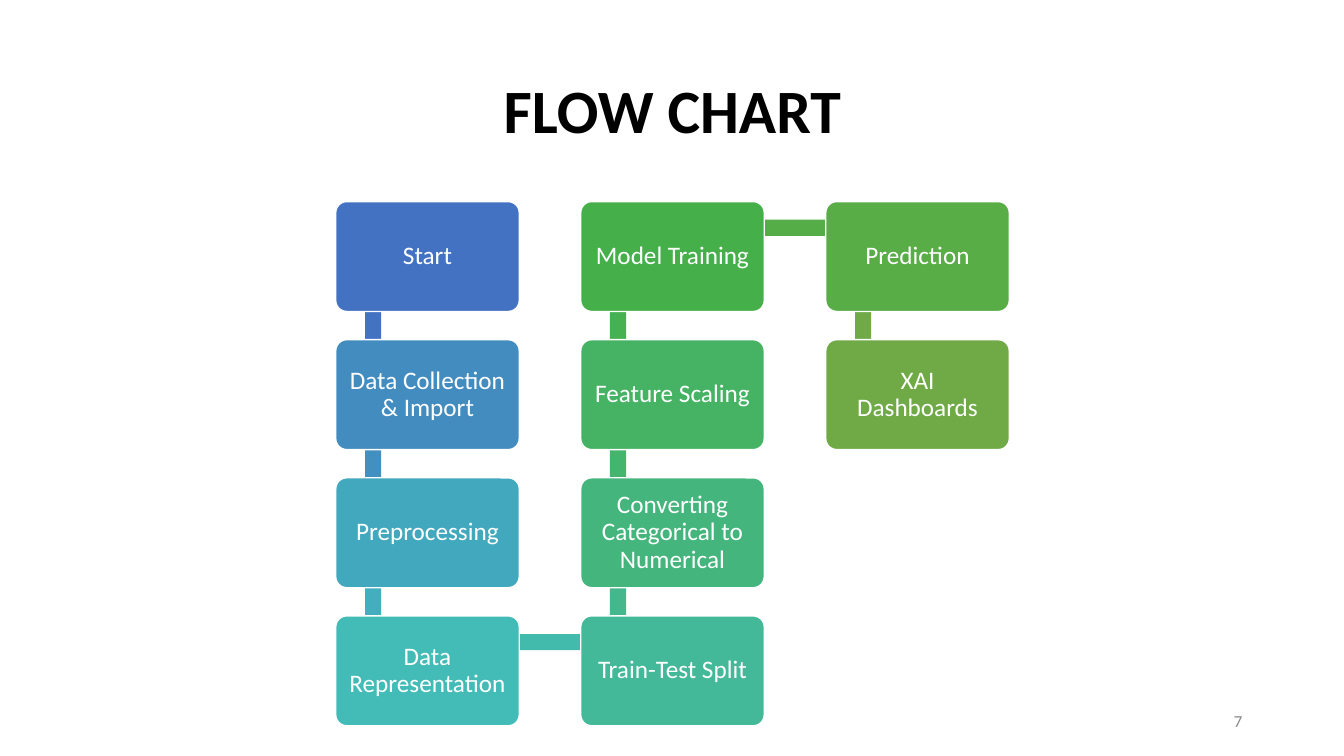
from dataclasses import dataclass
from math import atan2, degrees, hypot

from pptx import Presentation
from pptx.dml.color import RGBColor
from pptx.enum.shapes import MSO_SHAPE as Preset
from pptx.enum.text import MSO_ANCHOR as Anchor, PP_ALIGN as Align
from pptx.shapes.autoshape import Shape
from pptx.slide import Slide
from pptx.util import Inches, Pt


@dataclass(frozen=True)
class Theme:
    font: str = "Calibri"
    title_color: str = "000000"
    step_text: str = "FFFFFF"
    outline: str = "FFFFFF"
    number_color: str = "888888"
    title_size: int = 44
    step_size: int = 18
    number_size: int = 12


@dataclass(frozen=True)
class Step:
    label: str
    column: int
    row: int
    fill: str
    link_fill: str = ""

    @property
    def left(self) -> float:
        return GRID_LEFT + self.column * COLUMN_PITCH

    @property
    def top(self) -> float:
        return GRID_TOP + self.row * ROW_PITCH


THEME = Theme()
GRID_LEFT, GRID_TOP = 3.33, 2.0
COLUMN_PITCH, ROW_PITCH = 2.43, 1.37
STEP_WIDTH, STEP_HEIGHT = 1.82, 1.09
LINK_X, LINK_Y = 0.37, 0.26
LINK_THICKNESS = 0.16

STEPS = [
    Step("Start", 0, 0, "4372C3", "4372C3"),
    Step("Data Collection & Import", 0, 1, "438CC0", "438FC0"),
    Step("Preprocessing", 0, 2, "42A8BE", "43AEBD"),
    Step("Data Representation", 0, 3, "43BCB8", "42BBAC"),
    Step("Train-Test Split", 1, 3, "43B99A", "44B78C"),
    Step("Converting Categorical to Numerical", 1, 2, "44B67D", "44B56D"),
    Step("Feature Scaling", 1, 1, "45B363", "45B150"),
    Step("Model Training", 1, 0, "45B04A", "54AD46"),
    Step("Prediction", 2, 0, "58AD46", "6FAA47"),
    Step("XAI Dashboards", 2, 1, "6FAA47"),
]


def write(shape: Shape, text: str, *, size: int, color: str, bold: bool = False,
          align: Align = Align.CENTER, spacing: float = 1.0,
          inset_y: float = 0.05) -> None:
    frame = shape.text_frame
    frame.word_wrap = True
    frame.vertical_anchor = Anchor.MIDDLE
    frame.margin_left = frame.margin_right = Inches(0.1)
    frame.margin_top = frame.margin_bottom = Inches(inset_y)
    paragraph = frame.paragraphs[0]
    paragraph.alignment = align
    paragraph.line_spacing = spacing
    run = paragraph.add_run()
    run.text = text
    run.font.name = THEME.font
    run.font.size = Pt(size)
    run.font.bold = bold
    run.font.color.rgb = RGBColor.from_string(color)


def add_block(slide: Slide, preset: Preset, left: float, top: float,
              width: float, height: float, fill: str) -> Shape:
    block = slide.shapes.add_shape(
        preset, Inches(left), Inches(top), Inches(width), Inches(height))
    block.shadow.inherit = False
    block.fill.solid()
    block.fill.fore_color.rgb = RGBColor.from_string(fill)
    block.line.fill.background()
    return block


def draw_link(slide: Slide, start: Step, end: Step) -> None:
    across, down = end.left - start.left, end.top - start.top
    length = hypot(across, down)
    center_x = start.left + LINK_X + across / 2
    center_y = start.top + LINK_Y + down / 2
    link = add_block(slide, Preset.RECTANGLE, center_x - length / 2,
                     center_y - LINK_THICKNESS / 2, length, LINK_THICKNESS,
                     start.link_fill)
    link.rotation = degrees(atan2(down, across)) % 360


def draw_step(slide: Slide, step: Step) -> None:
    box = add_block(slide, Preset.ROUNDED_RECTANGLE, step.left, step.top,
                    STEP_WIDTH, STEP_HEIGHT, step.fill)
    box.adjustments[0] = 0.1
    box.line.color.rgb = RGBColor.from_string(THEME.outline)
    box.line.width = Pt(1)
    write(box, step.label, size=THEME.step_size, color=THEME.step_text,
          spacing=0.9, inset_y=0.1)


def main() -> None:
    deck = Presentation()
    deck.slide_width, deck.slide_height = Inches(13.33), Inches(7.5)
    slide = deck.slides.add_slide(deck.slide_layouts[6])

    title = slide.shapes.add_textbox(
        Inches(0.92), Inches(0.4), Inches(11.5), Inches(1.45))
    write(title, "FLOW CHART", size=THEME.title_size, color=THEME.title_color,
          bold=True, spacing=0.9)
    page_number = slide.shapes.add_textbox(
        Inches(9.42), Inches(6.95), Inches(3), Inches(0.4))
    write(page_number, "7", size=THEME.number_size, color=THEME.number_color,
          align=Align.RIGHT)

    for start, end in zip(STEPS, STEPS[1:]):
        draw_link(slide, start, end)
    for step in STEPS:
        draw_step(slide, step)

    deck.save("out.pptx")


if __name__ == "__main__":
    main()
